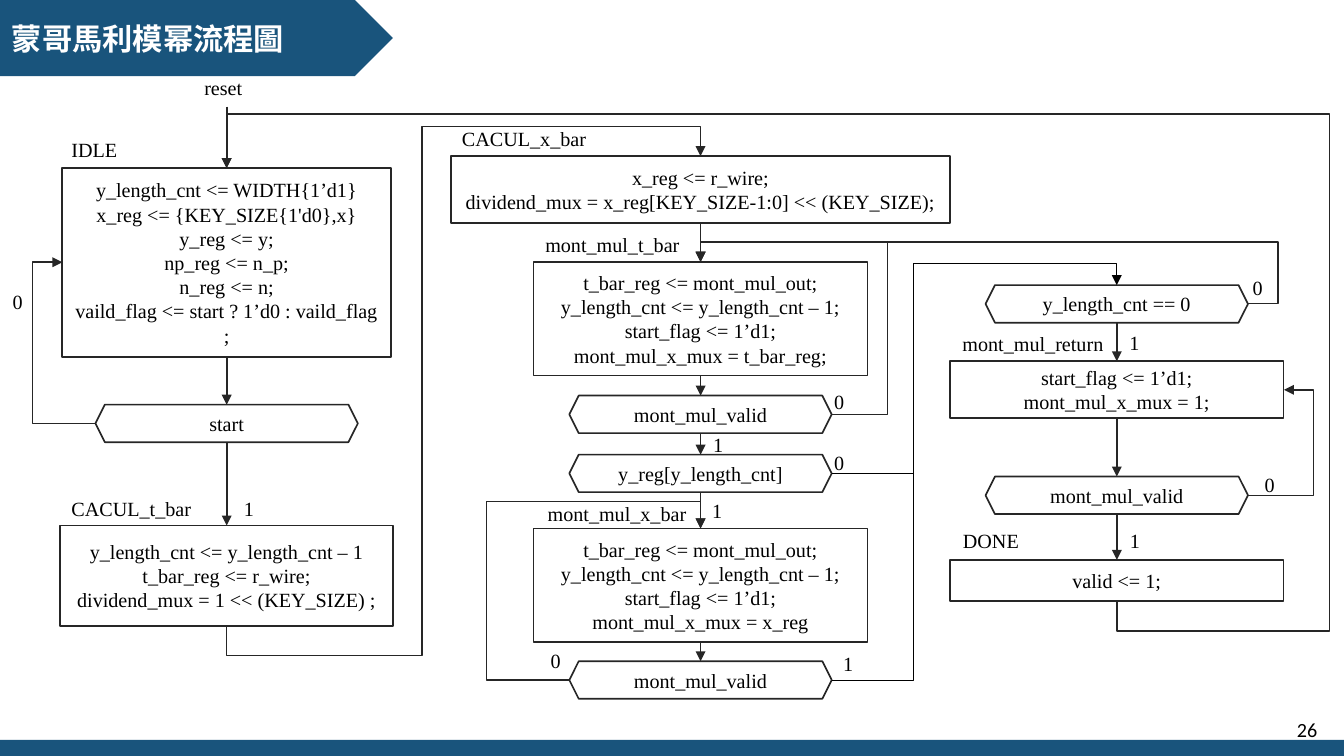
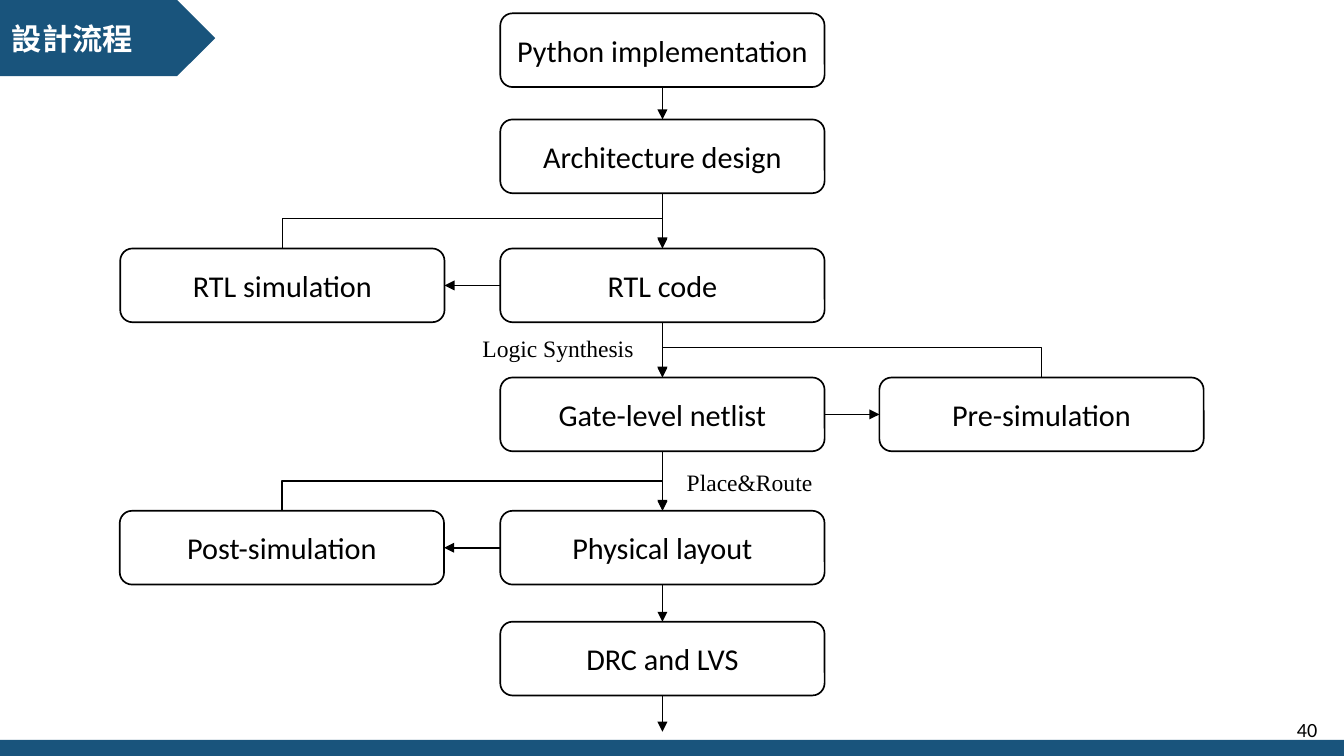
from itertools import pairwise

from lxml import etree
from pptx import Presentation
from pptx.dml.color import RGBColor
from pptx.enum.shapes import MSO_CONNECTOR as LINE, MSO_SHAPE as SHAPE
from pptx.enum.text import MSO_ANCHOR as ANCHOR, PP_ALIGN as ALIGN
from pptx.oxml.ns import qn
from pptx.util import Cm, Pt

SLIDE_W, SLIDE_H = 28.22, 15.88


def rgb(value):
    return RGBColor.from_string(value)


def write(sp, text, font="Times New Roman", size=12, color="000000", bold=False,
          align=ALIGN.LEFT, anchor=ANCHOR.TOP, side=0.25):
    """Fill a shape with text, one paragraph for each line."""
    tf = sp.text_frame
    tf.word_wrap = True
    tf.vertical_anchor = anchor
    tf.margin_left = tf.margin_right = Cm(side)
    for i, line in enumerate(text.split("\n")):
        p = tf.add_paragraph() if i else tf.paragraphs[0]
        p.alignment = align
        r = p.add_run()
        r.text = line
        r.font.name, r.font.size, r.font.bold = font, Pt(size), bold
        r.font.color.rgb = rgb(color)


class Deck:
    BLUE, DARK, BLACK, WHITE = "19547C", "262626", "000000", "FFFFFF"

    def __init__(self):
        self.prs = Presentation()
        self.prs.slide_width, self.prs.slide_height = Cm(SLIDE_W), Cm(SLIDE_H)
        self.s = None

    def slide(self, title, title_w, number):
        """Start a slide with its title arrow, bottom band and page number."""
        self.s = self.prs.slides.add_slide(self.prs.slide_layouts[6])
        self.shape(SHAPE.RECTANGLE, 0, 15.54, SLIDE_W, SLIDE_H - 15.54, fill=self.BLUE)
        sp = self.shape(SHAPE.PENTAGON, 0, 0, title_w, 1.6, fill=self.BLUE)
        write(sp, title, size=18, color=self.WHITE, bold=True, anchor=ANCHOR.MIDDLE)
        self.label(number, 21.33, 14.9, 6.58, 0.84, font="Calibri",
                   align=ALIGN.RIGHT, anchor=ANCHOR.MIDDLE)

    def shape(self, kind, x, y, w, h, fill=None, line=None):
        sp = self.s.shapes.add_shape(kind, Cm(x), Cm(y), Cm(w), Cm(h))
        sp.shadow.inherit = False
        if fill:
            sp.fill.solid()
            sp.fill.fore_color.rgb = rgb(fill)
        else:
            sp.fill.background()
        if line:
            sp.line.color.rgb = rgb(line)
            sp.line.width = Pt(1)
        else:
            sp.line.fill.background()
        return sp

    def node(self, kind, cx, y, w, h, text, line=DARK, **fmt):
        """Outlined box with centred text, placed by its centre line."""
        sp = self.shape(kind, cx - w / 2, y, w, h, line=line)
        write(sp, text, align=ALIGN.CENTER, anchor=ANCHOR.MIDDLE, **fmt)

    def label(self, text, x, y, w=3.5, h=0.76, **fmt):
        sp = self.s.shapes.add_textbox(Cm(x), Cm(y), Cm(w), Cm(h))
        write(sp, text, **fmt)

    def route(self, *points, color=DARK, width=1, arrow=True):
        """Straight or elbow connector through the points."""
        if len(points) == 2:
            c = self.connector(LINE.STRAIGHT, *points)
        else:
            c = self.elbow(points)
        c.line.color.rgb = rgb(color)
        c.line.width = Pt(width)
        etree.SubElement(c._element.spPr, qn("a:effectLst"))
        if arrow:
            etree.SubElement(c.line._get_or_add_ln(), qn("a:tailEnd"), type="triangle")

    def connector(self, kind, start, end):
        return self.s.shapes.add_connector(kind, *map(Cm, (*start, *end)))

    def elbow(self, points):
        """Elbow connector; one that starts vertically is turned by 90 degrees."""
        start, end = points[0], points[-1]
        (x1, y1), (x2, y2) = start, end
        vertical = points[1][0] == x1
        if vertical:
            cx, cy, dx, dy = (x1 + x2) / 2, (y1 + y2) / 2, (x2 - x1) / 2, (y2 - y1) / 2
            c = self.connector(LINE.ELBOW, (cx - dy, cy + dx), (cx + dy, cy - dx))
            c._element.spPr.find(qn("a:xfrm")).set("rot", "5400000")
        else:
            c = self.connector(LINE.ELBOW, start, end)
        geom = c._element.spPr.find(qn("a:prstGeom"))
        geom.set("prst", f"bentConnector{len(points) - 1}")
        guides = geom.find(qn("a:avLst"))
        for i, point in enumerate(points[1:-2], 1):
            axis = (i + vertical + 1) % 2
            share = (point[axis] - start[axis]) / (end[axis] - start[axis])
            etree.SubElement(guides, qn("a:gd"), name=f"adj{i}",
                             fmla=f"val {round(share * 100000)}")
        return c

    def column(self, cx, nodes):
        """Stack of nodes (kind, top, width, height, text) joined by arrows."""
        for kind, y, w, h, text in nodes:
            self.node(kind, cx, y, w, h, text)
        for (_, y, _, h, _), (_, below, *_) in pairwise(nodes):
            self.route((cx, y + h), (cx, below))


def state(y, w, h, text):
    return SHAPE.RECTANGLE, y, w, h, text


HEX_W, HEX_H = 5.51, 0.79


def test(y, text):
    return SHAPE.HEXAGON, y, HEX_W, HEX_H, text


def exponent_slide(d):
    d.slide("蒙哥馬利模幂流程圖", 8.25, "26")
    left, mid, right = 4.76, 14.71, 23.45
    half = HEX_W / 2

    # Three columns of states and tests
    d.column(left, [
        state(3.53, 6.91, 3.97, "y_length_cnt <= WIDTH{1’d1}\nx_reg <= {KEY_SIZE{1'd0},x}\n"
              "y_reg <= y;\nnp_reg <= n_p;\nn_reg <= n;\n"
              "vaild_flag <= start ? 1’d0 : vaild_flag ;"),
        test(8.5, "start"),
        state(11.04, 6.99, 2.11, "y_length_cnt <= y_length_cnt – 1\nt_bar_reg <= r_wire;\n"
              "dividend_mux = 1 << (KEY_SIZE) ;"),
    ])
    multiply = ("t_bar_reg <= mont_mul_out;\ny_length_cnt <= y_length_cnt – 1;\n"
                "start_flag <= 1’d1;\nmont_mul_x_mux = ")
    d.column(mid, [
        state(3.28, 10.49, 1.4, "x_reg <= r_wire;\n"
              "dividend_mux = x_reg[KEY_SIZE-1:0] << (KEY_SIZE);"),
        state(5.5, 7.01, 2.39, multiply + "t_bar_reg;"),
        test(8.31, "mont_mul_valid"),
        test(9.55, "y_reg[y_length_cnt]"),
        state(11.1, 7.01, 2.39, multiply + "x_reg"),
        test(13.89, "mont_mul_valid"),
    ])
    d.column(right, [
        test(5.99, "y_length_cnt == 0"),
        state(7.59, 7.01, 1.19, "start_flag <= 1’d1;\nmont_mul_x_mux = 1;"),
        test(10.01, "mont_mul_valid"),
        state(11.76, 7.01, 0.86, "valid <= 1;"),
    ])

    # Reset, hand-over between columns and loops
    d.route((left, 2.24), (left, 3.53))
    d.route((left, 13.15), (left, 13.77), (8.86, 13.77), (8.86, 2.66), (mid, 2.66), (mid, 3.28))
    d.route((left - half, 8.9), (0.68, 8.9), (0.68, 5.51), (1.31, 5.51))
    d.route((mid + half, 8.71), (18.64, 8.71), (18.64, 5.08), (mid, 5.08), (mid, 5.5))
    d.route((mid - half, 14.29), (10.21, 14.29), (10.21, 10.54), (mid, 10.54), (mid, 11.1))
    d.route((right + half, 6.38), (26.84, 6.38), (26.84, 5.08), (mid, 5.08), (mid, 5.5))
    d.route((right + half, 10.41), (27.58, 10.41), (27.58, 8.19), (26.96, 8.19))
    d.route((right, 12.62), (right, 13.26), (27.91, 13.26), (27.91, 2.39), (left, 2.39),
            (left, 3.53))
    thin = dict(color=d.BLACK, width=0.75)
    bus = 19.18
    d.route((mid + half, 9.94), (bus, 9.94), (bus, 5.54), arrow=False, **thin)
    d.route((mid + half, 14.29), (bus, 14.29), (bus, 9.63), arrow=False, **thin)
    d.route((bus, 5.54), (right, 5.54), (right, 5.99), **thin)

    # State names
    for name, x, y in [
        ("reset", 4.04, 1.45), ("IDLE", 1.25, 2.77), ("CACUL_t_bar", 1.25, 10.31),
        ("CACUL_x_bar", 9.45, 2.54), ("mont_mul_t_bar", 11.2, 4.75),
        ("mont_mul_x_bar", 11.25, 10.41), ("mont_mul_return", 19.96, 6.83),
        ("DONE", 19.97, 10.97),
    ]:
        d.label(name, x, y)

    # Branch values
    branches = {
        "0": [(0, 5.95), (17.25, 8.05), (17.25, 9.33), (26.04, 5.67), (26.29, 9.8),
              (11.3, 13.49)],
        "1": [(14.71, 8.95), (4.86, 10.31), (14.69, 10.34), (23.46, 10.97), (23.45, 6.81),
              (17.44, 13.55)],
    }
    for value, places in branches.items():
        for x, y in places:
            d.label(value, x, y, w=0.74, align=ALIGN.CENTER, side=0)


def design_slide(d):
    d.slide("設計流程", 4.52, "40")
    w, h, cx = 6.81, 1.55, 13.91

    def step(x, y, text):
        d.node(SHAPE.ROUNDED_RECTANGLE, x, y, w, h, text, line=d.BLACK,
               font="Calibri", size=18)

    # Main flow, with an arrow below each step
    steps = [("Python implementation", 0.28), ("Architecture design", 2.51),
             ("RTL code", 5.22), ("Gate-level netlist", 7.93),
             ("Physical layout", 10.73), ("DRC and LVS", 13.06)]
    ends = [y for _, y in steps[1:]] + [15.37]
    for (text, y), end in zip(steps, ends):
        step(cx, y, text)
        d.route((cx, y + h), (cx, end), color=d.BLACK)

    # Simulations that loop back to their step
    rise = 0.63
    for text, x, y in [("RTL simulation", 5.93, 5.22), ("Pre-simulation", 21.87, 7.93),
                       ("Post-simulation", 5.92, 10.73)]:
        step(x, y, text)
        side = w / 2 if x > cx else -w / 2
        d.route((cx + side, y + h / 2), (x - side, y + h / 2), color=d.BLACK)
        d.route((x, y), (x, y - rise), (cx, y - rise), (cx, y - 0.02), color=d.BLACK)

    # Tools
    d.label("Logic Synthesis", 9.88, 6.89, w=4.04, h=0.86, size=14)
    d.label("Place&Route", 14.17, 9.7, w=4.04, h=0.86, size=14)


def main():
    d = Deck()
    exponent_slide(d)
    design_slide(d)
    d.prs.save("out.pptx")


if __name__ == "__main__":
    main()
